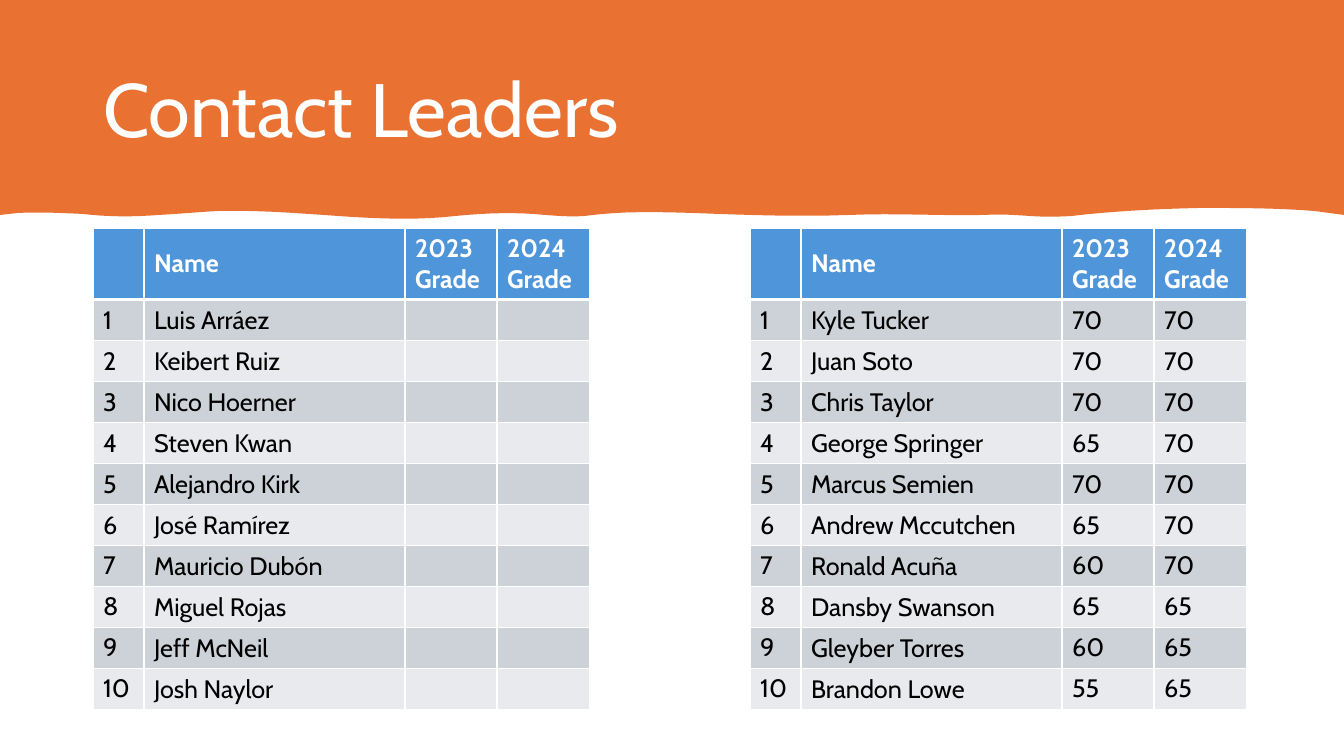
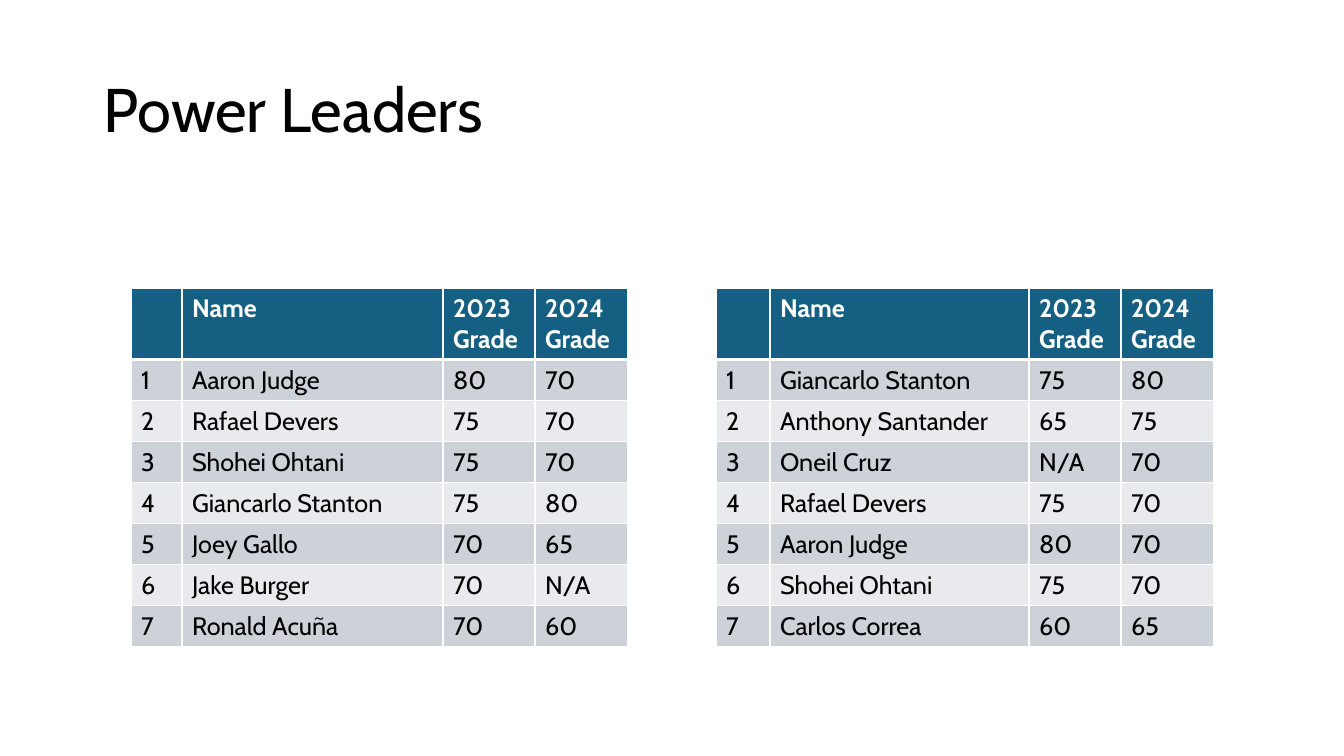
import lxml.etree
import pptx
import pptx.dml.color
import pptx.enum.text
import pptx.oxml.ns
import pptx.util

UNIT = 914400 / 100.8
WHITE, BLACK, ORANGE = "FFFFFF", "000000", "E97132"
SKY, TEAL = "4E95D9", "156082"
STRIPES = ("CCD2D8", "E8EAED")
MIDDLE = pptx.enum.text.MSO_ANCHOR.MIDDLE
TOP = pptx.enum.text.MSO_ANCHOR.TOP
HEADS = ("", "Name", "2023 Grade", "2024 Grade")

# Lower edge of the band, right to left: two controls and an end per curve
EDGE = (1314, 211)
WAVES = [
    ((1276, 208), (1238, 208), (1200, 208)),
    ((1157, 209), (1114, 211), (1072, 216)),
    ((1057, 217), (1043, 217), (1029, 216)),
    ((1015, 215), (1000, 214), (985, 215)),
    ((940, 216), (895, 213), (850, 215)),
    ((797, 217), (745, 215), (692, 213)),
    ((656, 212), (621, 211), (585, 216)),
    ((572, 217), (558, 216), (545, 215)),
    ((516, 212), (486, 213), (456, 216)),
    ((421, 220), (387, 219), (352, 217)),
    ((307, 214), (263, 210), (219, 211)),
    ((199, 212), (178, 214), (159, 215)),
    ((134, 217), (108, 217), (83, 214)),
    ((61, 213), (40, 212), (18, 213)),
]

CONTACT_A = [(name, "", "") for name in (
    "Luis Arráez", "Keibert Ruiz", "Nico Hoerner", "Steven Kwan",
    "Alejandro Kirk", "José Ramírez", "Mauricio Dubón", "Miguel Rojas",
    "Jeff McNeil", "Josh Naylor")]
CONTACT_B = [
    ("Kyle Tucker", 70, 70),
    ("Juan Soto", 70, 70),
    ("Chris Taylor", 70, 70),
    ("George Springer", 65, 70),
    ("Marcus Semien", 70, 70),
    ("Andrew Mccutchen", 65, 70),
    ("Ronald Acuña", 60, 70),
    ("Dansby Swanson", 65, 65),
    ("Gleyber Torres", 60, 65),
    ("Brandon Lowe", 55, 65),
]
POWER_A = [
    ("Aaron Judge", 80, 70),
    ("Rafael Devers", 75, 70),
    ("Shohei Ohtani", 75, 70),
    ("Giancarlo Stanton", 75, 80),
    ("Joey Gallo", 70, 65),
    ("Jake Burger", 70, "N/A"),
    ("Ronald Acuña", 70, 60),
]
POWER_B = [
    ("Giancarlo Stanton", 75, 80),
    ("Anthony Santander", 65, 75),
    ("Oneil Cruz", "N/A", 70),
    ("Rafael Devers", 75, 70),
    ("Aaron Judge", 80, 70),
    ("Shohei Ohtani", 75, 70),
    ("Carlos Correa", 60, 65),
]


def px(num):
    return pptx.util.Emu(round(num * UNIT))


def paint(fill, color):
    fill.solid()
    fill.fore_color.rgb = pptx.dml.color.RGBColor.from_string(color)


def curve(start, one, two, end, steps=8):
    """Points along a cubic curve, without its start."""
    for step in range(1, steps + 1):
        t = step / steps
        u = 1 - t
        yield tuple(u**3 * a + 3 * u * u * t * b + 3 * u * t * t * c + t**3 * d
                    for a, b, c, d in zip(start, one, two, end))


def border(cell, **widths):
    """Draw white cell edges; widths in points are keyed L, R, T and B."""
    props = cell._tc.get_or_add_tcPr()
    for spot, side in enumerate("LRTB"):
        line = lxml.etree.Element(pptx.oxml.ns.qn(f"a:ln{side}"),
                                  w=str(pptx.util.Pt(widths.get(side, 1))))
        fill = lxml.etree.SubElement(line, pptx.oxml.ns.qn("a:solidFill"))
        lxml.etree.SubElement(fill, pptx.oxml.ns.qn("a:srgbClr"), val=WHITE)
        props.insert(spot, line)


class Deck:
    font = "Cabin"

    def __init__(self):
        self.show = pptx.Presentation()
        self.show.slide_width, self.show.slide_height = px(1344), px(756)
        self.slide = None

    def text(self, frame, words, size=18, color=BLACK, bold=False, space=None):
        para = frame.paragraphs[0]
        para.alignment = pptx.enum.text.PP_ALIGN.LEFT
        para.line_spacing = space
        if words == "":
            return
        run = para.add_run()
        run.text = str(words)
        run.font.name, run.font.bold = self.font, bold
        run.font.size = pptx.util.Pt(size)
        paint(run.font.fill, color)

    def page(self, title, size=44, color=BLACK):
        self.slide = self.show.slides.add_slide(self.show.slide_layouts[5])
        box = self.slide.shapes.title
        box.left, box.top, box.width, box.height = map(px, (93, 40, 1159, 146))
        frame = box.text_frame
        frame.word_wrap = True
        frame.auto_size = pptx.enum.text.MSO_AUTO_SIZE.NONE
        frame.vertical_anchor = MIDDLE
        self.text(frame, title, size=size, color=color, space=0.9)

    def band(self, color):
        """Fill the top of the slide down to a wavy edge, behind the title."""
        spots = [(1344, 0), (1344, 215), EDGE]
        for wave in WAVES:
            spots.extend(curve(spots[-1], *wave))
        spots.append((0, 215))
        pen = self.slide.shapes.build_freeform(0, 0)
        pen.add_line_segments([(px(x), px(y)) for x, y in spots])
        shape = pen.convert_to_shape()
        shape.shadow.inherit = False
        paint(shape.fill, color)
        shape.line.fill.background()
        self.slide.shapes.title._element.addprevious(shape._element)

    def table(self, left, top, people, color, cols=(51, 261, 92, 93),
              anchor=TOP, head=70, row=41):
        """Add a ranked list of people under a coloured heading row."""
        rows = [HEADS] + [(rank, *who) for rank, who in enumerate(people, 1)]
        grid = self.slide.shapes.add_table(
            len(rows), len(cols), px(left), px(top), px(sum(cols)),
            px(head + row * len(people))).table
        for col, width in zip(grid.columns, cols):
            col.width = px(width)
        for i, words in enumerate(rows):
            grid.rows[i].height = px(row if i else head)
            for j, word in enumerate(words):
                cell = grid.cell(i, j)
                paint(cell.fill, STRIPES[(i - 1) % 2] if i else color)
                border(cell, T=3 if i == 1 else 1, B=1 if i else 3)
                cell.vertical_anchor = anchor if j == 1 else TOP
                self.text(cell.text_frame, word, bold=not i,
                          color=BLACK if i else WHITE)


def main():
    deck = Deck()

    deck.page("Contact Leaders", size=54, color=WHITE)
    deck.band(ORANGE)
    for left, people in ((93, CONTACT_A), (750, CONTACT_B)):
        deck.table(left, 228, people, SKY, anchor=MIDDLE)

    deck.page("Power Leaders")
    deck.table(131, 288, POWER_A, TEAL)
    deck.table(716, 288, POWER_B, TEAL, cols=(54, 259, 92, 93))

    deck.show.save("out.pptx")


if __name__ == "__main__":
    main()
